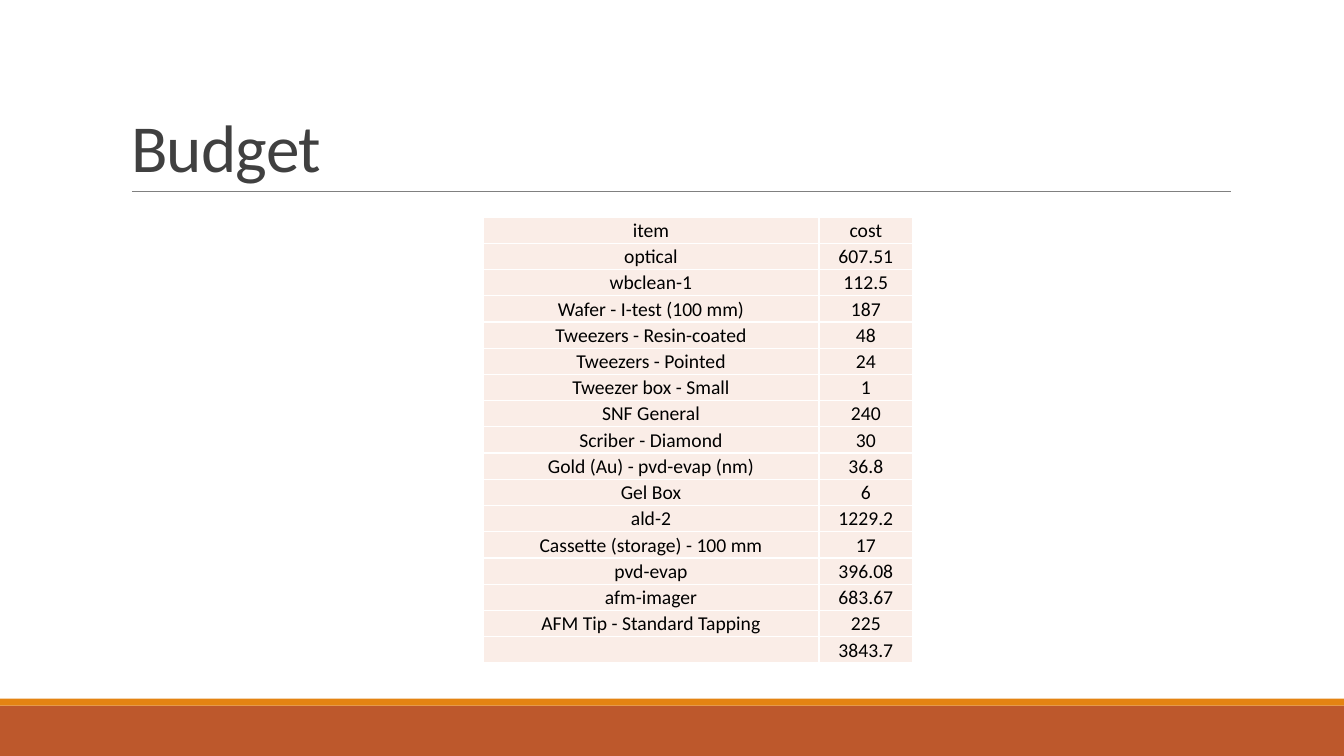
from dataclasses import dataclass

from lxml.etree import SubElement
from pptx import Presentation
from pptx.dml.color import RGBColor
from pptx.enum.shapes import MSO_CONNECTOR, MSO_SHAPE
from pptx.enum.text import MSO_ANCHOR as ANCHOR, MSO_AUTO_SIZE, PP_ALIGN as ALIGN
from pptx.oxml import parse_xml
from pptx.oxml.ns import nsdecls, qn
from pptx.util import Pt


@dataclass(frozen=True)
class Theme:
    font: str = "Calibri"
    title_size: int = 48
    cell_size: int = 14
    title: str = "404040"
    text: str = "000000"
    rule: str = "808080"
    cell: str = "FAEDE7"
    border: str = "FFFFFF"
    band: str = "BD582C"
    strip: str = "E48312"


theme = Theme()
rgb = RGBColor.from_string


def write(tf, text, size, color, align, spacing=1.0, tracking=0):
    p = tf.paragraphs[0]
    p.alignment = align
    p.line_spacing = spacing
    if not text:
        p._p.get_or_add_endParaRPr().set("sz", str(size * 100))
        return
    r = p.add_run()
    r.text = text
    r.font.name = theme.font
    r.font.size = Pt(size)
    r.font.color.rgb = rgb(color)
    if tracking:
        r._r.get_or_add_rPr().set("spc", str(int(tracking * 100)))


prs = Presentation()
prs.slide_width, prs.slide_height = Pt(960), Pt(540)
slide = prs.slides.add_slide(prs.slide_layouts[5])

for top, height, color in [(504, 36, theme.band), (499, 5, theme.strip)]:
    sp = slide.shapes.add_shape(MSO_SHAPE.RECTANGLE, 0, Pt(top), Pt(960), Pt(height))
    sp.shadow.inherit = False
    sp.fill.solid()
    sp.fill.fore_color.rgb = rgb(color)
    sp.line.fill.background()

rule = slide.shapes.add_connector(
    MSO_CONNECTOR.STRAIGHT, Pt(94.3), Pt(136.8), Pt(879), Pt(136.8))
rule.line.color.rgb = rgb(theme.rule)
rule.line.width = Pt(0.5)
SubElement(rule._element.spPr, qn("a:effectLst"))

title = slide.shapes.title
title.left, title.top, title.width, title.height = Pt(86.4), Pt(22.5), Pt(792), Pt(114.3)
tf = title.text_frame
tf.auto_size = MSO_AUTO_SIZE.NONE
tf.vertical_anchor = ANCHOR.BOTTOM
write(tf, "Budget", theme.title_size, theme.title, ALIGN.LEFT, spacing=0.85, tracking=-0.5)

budget = [
    ("item", "cost"),
    ("optical", "607.51"),
    ("wbclean-1", "112.5"),
    ("Wafer - I-test (100 mm)", "187"),
    ("Tweezers - Resin-coated", "48"),
    ("Tweezers - Pointed", "24"),
    ("Tweezer box - Small", "1"),
    ("SNF General", "240"),
    ("Scriber - Diamond", "30"),
    ("Gold (Au) - pvd-evap (nm)", "36.8"),
    ("Gel Box", "6"),
    ("ald-2", "1229.2"),
    ("Cassette (storage) - 100 mm", "17"),
    ("pvd-evap", "396.08"),
    ("afm-imager", "683.67"),
    ("AFM Tip - Standard Tapping", "225"),
    ("", "3843.7"),
]
row_height = 18.76
widths = [240, 67]
table = slide.shapes.add_table(
    len(budget), len(widths), Pt(345), Pt(155),
    Pt(sum(widths)), Pt(row_height * len(budget))).table
table.first_row = table.horz_banding = False
for column, width in zip(table.columns, widths):
    column.width = Pt(width)

for i, entry in enumerate(budget):
    table.rows[i].height = Pt(row_height)
    for j, text in enumerate(entry):
        cell = table.cell(i, j)
        cell.margin_left = cell.margin_right = cell.margin_top = Pt(0.7)
        cell.margin_bottom = 0
        cell.vertical_anchor = ANCHOR.MIDDLE
        cell.fill.solid()
        cell.fill.fore_color.rgb = rgb(theme.cell)
        for k, side in enumerate("LRTB"):
            cell._tc.tcPr.insert(k, parse_xml(
                f'<a:ln{side} {nsdecls("a")} w="{Pt(1)}"><a:solidFill>'
                f'<a:srgbClr val="{theme.border}"/></a:solidFill></a:ln{side}>'))
        write(cell.text_frame, text, theme.cell_size, theme.text, ALIGN.CENTER)

prs.save("out.pptx")
